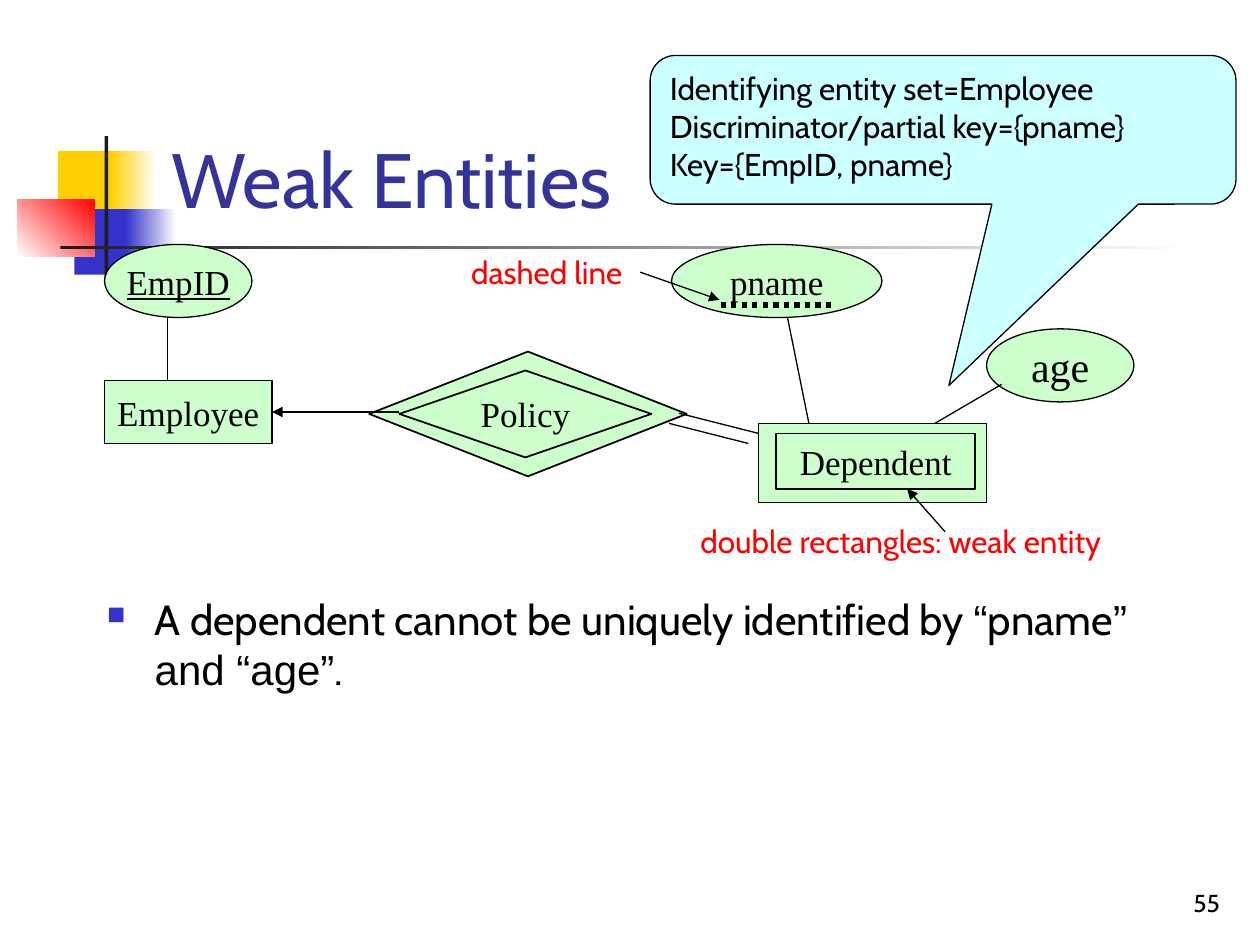
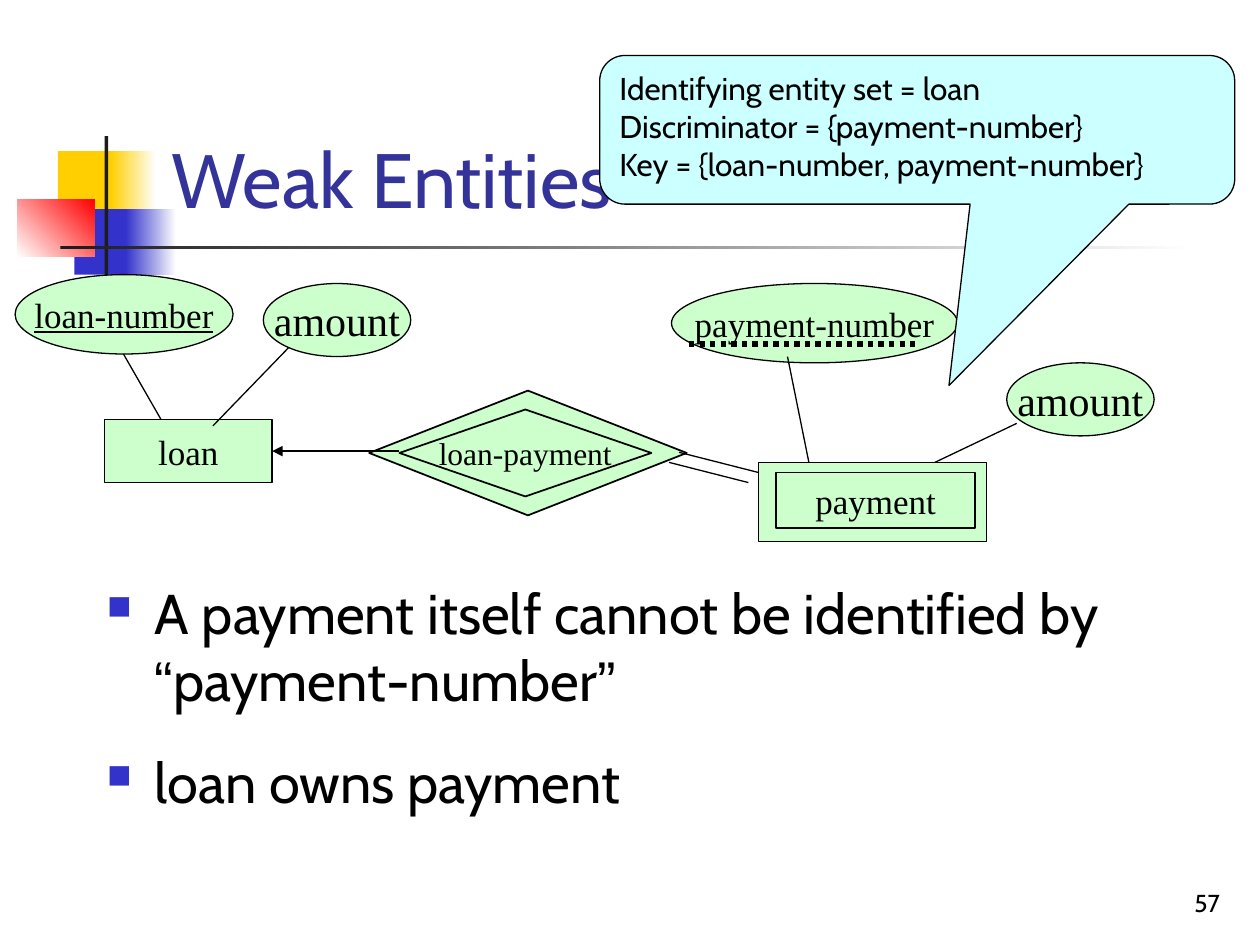
import dataclasses

import lxml.etree
import pptx
import pptx.dml.color
import pptx.enum.dml
import pptx.enum.shapes
import pptx.enum.text
import pptx.oxml.ns
import pptx.util

SHAPE = pptx.enum.shapes.MSO_SHAPE
ALIGN = pptx.enum.text.PP_ALIGN
ANCHOR = pptx.enum.text.MSO_ANCHOR
qn = pptx.oxml.ns.qn


@dataclasses.dataclass(frozen=True)
class Theme:
    black: str = "000000"
    white: str = "FFFFFF"
    dark: str = "1C1C1C"
    yellow: str = "FFCF01"
    blue: str = "3333CC"
    red: str = "FF0000"
    title: str = "333399"
    node: str = "CCFFCC"
    callout: str = "CCFFFF"
    sans: str = "Cabin"
    quote: str = "Arial"
    serif: str = "Times New Roman"
    title_size: int = 44
    large: int = 32
    medium: int = 24
    label: int = 20
    note: int = 18
    number: int = 14
    thin: float = 0.75
    firm: float = 1
    thick: float = 3


THEME = Theme()
COLUMNS, ROWS = 10, 7.5
UNIT = pptx.util.Inches(1)


@dataclasses.dataclass(frozen=True)
class Box:
    left: float
    top: float
    width: float
    height: float

    def at(self, left, top, width, height):
        return Box(self.left + left, self.top + top, width, height)

    def point(self, across, down):
        return self.left + across, self.top + down

    def emu(self):
        return [round(UNIT * side) for side in (self.left, self.top, self.width, self.height)]


SLIDE = Box(0, 0, COLUMNS, ROWS)


def rgb(color):
    return pptx.dml.color.RGBColor.from_string(color)


def add_runs(para, runs, size, color):
    for text, face in runs:
        span = para.add_run()
        span.text = text
        span.font.size = pptx.util.Pt(size)
        span.font.name = face
        span.font.color.rgb = rgb(color)


def add_text(page, box, runs, size, color, anchor=ANCHOR.TOP, align=ALIGN.LEFT, wrap=True):
    holder = page.shapes.add_textbox(*box.emu())
    frame = holder.text_frame
    frame.word_wrap = wrap
    frame.vertical_anchor = anchor
    para = frame.paragraphs[0]
    para.alignment = align
    add_runs(para, runs, size, color)
    return para


def add_block(page, box, start, end=None, angle=0):
    block = page.shapes.add_shape(SHAPE.RECTANGLE, *box.emu())
    block.shadow.inherit = False
    block.line.fill.background()
    if end is None:
        block.fill.solid()
        block.fill.fore_color.rgb = rgb(start)
        return
    block.fill.gradient()
    block.fill.gradient_angle = angle
    for stop, color in zip(block.fill.gradient_stops, (start, end)):
        stop.color.rgb = rgb(color)


def add_node(page, kind, box, label="", size=THEME.label, weight=THEME.thin, fill=THEME.node):
    node = page.shapes.add_shape(kind, *box.emu())
    node.shadow.inherit = False
    node.fill.solid()
    node.fill.fore_color.rgb = rgb(fill)
    node.line.color.rgb = rgb(THEME.black)
    node.line.width = pptx.util.Pt(weight)
    if label:
        frame = node.text_frame
        frame.word_wrap = False
        frame.vertical_anchor = ANCHOR.MIDDLE
        frame.paragraphs[0].alignment = ALIGN.CENTER
        add_runs(frame.paragraphs[0], [(label, THEME.serif)], size, THEME.black)
    return node


def add_line(page, start, end, weight=THEME.thin, arrow=False):
    ends = [round(UNIT * place) for place in (*start, *end)]
    line = page.shapes.add_connector(pptx.enum.shapes.MSO_CONNECTOR.STRAIGHT, *ends)
    line.line.color.rgb = rgb(THEME.black)
    line.line.width = pptx.util.Pt(weight)
    if arrow:
        lxml.etree.SubElement(line.line._get_or_add_ln(), qn("a:tailEnd"), type="triangle")
    lxml.etree.SubElement(line._element.spPr, qn("a:effectLst"))
    return line


def draw_frame(page, box, title, number):
    emblem = box.at(0.14, 1.08, 1.26, 1.15)
    add_block(page, emblem.at(0.32, 0.12, 0.48, 0.52), THEME.yellow)
    add_block(page, emblem.at(0.74, 0.12, 0.36, 0.52), THEME.yellow, THEME.white)
    add_block(page, emblem.at(0.45, 0.58, 0.46, 0.52), THEME.blue)
    add_block(page, emblem.at(0.86, 0.58, 0.4, 0.52), THEME.blue, THEME.white)
    add_block(page, emblem.at(0, 0.5, 0.61, 0.46), THEME.white, THEME.red, angle=45)
    add_block(page, emblem.at(0.69, 0, 0.03, 1.15), THEME.dark)
    add_block(page, emblem.at(0.34, 0.87, 9, 0.03), THEME.dark, THEME.white)
    add_text(page, box.at(7.7, 6.83, 2.08, 0.5), [(number, THEME.sans)], THEME.number,
             THEME.black, ANCHOR.BOTTOM, ALIGN.RIGHT)
    add_text(page, box.at(1.26, 0.23, 8.52, 1.6), [(title, THEME.sans)], THEME.title_size,
             THEME.title, ANCHOR.BOTTOM)


def draw_bullet(page, box, runs, size):
    para = add_text(page, box, runs, size, THEME.black)
    properties = para._p.get_or_add_pPr()
    hang = round(UNIT * 0.38)
    properties.set("marL", str(hang))
    properties.set("indent", str(-hang))
    tint = lxml.etree.SubElement(properties, qn("a:buClr"))
    lxml.etree.SubElement(tint, qn("a:srgbClr"), val=THEME.blue)
    lxml.etree.SubElement(properties, qn("a:buSzPct"), val="60000")
    lxml.etree.SubElement(properties, qn("a:buChar"), char="■")


def draw_attribute(page, box, label, start, end, size=THEME.label):
    oval = add_node(page, SHAPE.OVAL, box, label, size)
    add_line(page, start, end)
    return oval


def draw_key(page, box, label, start, end):
    oval = draw_attribute(page, box, label, start, end)
    oval.text_frame.paragraphs[0].runs[0].font.underline = True


def draw_partial_key(page, box, label, dots, area):
    draw_attribute(page, box, label, area.point(6.25, 0.58), area.point(6.42, 1.42))
    first, last = dots
    dotted = add_line(page, area.point(first, 0.48), area.point(last, 0.48), THEME.thick)
    dotted.line.dash_style = pptx.enum.dml.MSO_LINE.ROUND_DOT


def draw_relation(page, area, owner, relation, weak, relation_size=THEME.label):
    add_node(page, SHAPE.RECTANGLE, area.at(6.02, 1.42, 1.81, 0.63))
    add_node(page, SHAPE.FLOWCHART_DECISION, area.at(2.93, 0.85, 2.52, 0.99), weight=THEME.firm)
    owner_box = add_node(page, SHAPE.RECTANGLE, area.at(0.83, 1.08, 1.33, 0.5), owner)
    arrow = add_line(page, area.point(3.17, 1.33), area.point(2.16, 1.33), arrow=True)
    arrow.end_connect(owner_box, 3)
    add_node(page, SHAPE.FLOWCHART_DECISION, area.at(3.17, 1, 2, 0.69), relation,
             relation_size, THEME.firm)
    for across, down in ((5.39, 1.34), (5.31, 1.42)):
        add_line(page, area.point(across, down), area.point(across + 0.63, down + 0.16))
    add_node(page, SHAPE.RECTANGLE, area.at(6.16, 1.5, 1.58, 0.44), weak, weight=THEME.firm)


def draw_callout(page, box, lines, pointer):
    bubble = add_node(page, SHAPE.ROUNDED_RECTANGULAR_CALLOUT, box, fill=THEME.callout)
    for index, value in enumerate((pointer, 1.72, 0.17)):
        bubble.adjustments[index] = value
    frame = bubble.text_frame
    frame.word_wrap = True
    frame.vertical_anchor = ANCHOR.TOP
    for index, line in enumerate(lines):
        para = frame.add_paragraph() if index else frame.paragraphs[0]
        para.alignment = ALIGN.LEFT
        add_runs(para, [(line, THEME.sans)], THEME.note, THEME.black)


def draw_note(page, box, text, start, end):
    add_text(page, box, [(text, THEME.sans)], THEME.note, THEME.red, wrap=False)
    add_line(page, start, end, arrow=True)


def employee_slide(page, box):
    draw_frame(page, box, "Weak Entities", "55")
    area = box.at(0, 1.94, COLUMNS, 2.6)
    draw_bullet(page, box.at(0.75, 4.66, 8.66, 0.98), [
        ("A dependent cannot be uniquely identified by ", THEME.sans), ("“", THEME.quote),
        ("pname", THEME.sans), ("” and “age”", THEME.quote), (".", THEME.sans)], THEME.medium)
    draw_key(page, area.at(0.83, 0, 1.17, 0.58), "EmpID",
             area.point(1.33, 0.58), area.point(1.33, 1.08))
    draw_partial_key(page, area.at(5.33, 0, 1.67, 0.58), "pname", (5.72, 6.62), area)
    draw_attribute(page, area.at(7.83, 0.67, 1.17, 0.58), "age",
                   area.point(7.95, 1.11), area.point(7.42, 1.42), THEME.medium)
    draw_relation(page, area, "Employee", "Policy", "Dependent")
    draw_callout(page, box.at(5.16, 0.44, 4.65, 1.18), [
        "Identifying entity set=Employee", "Discriminator/partial key={pname}",
        "Key={EmpID, pname}"], 0.01)
    draw_note(page, area.at(5.46, 2.15, 3.79, 0.4), "double rectangles: weak entity",
              area.point(7.5, 2.28), area.point(7.2, 1.94))
    draw_note(page, area.at(3.64, 0.02, 1.55, 0.4), "dashed line",
              area.point(5.08, 0.22), area.point(5.71, 0.44))


def loan_slide(page, box):
    draw_frame(page, box, "Weak Entities", "57")
    area = box.at(0, 2.25, COLUMNS, 2.1)
    bullets = [
        [("A payment itself cannot be identified by ", THEME.sans), ("“", THEME.quote),
         ("payment-number", THEME.sans), ("”", THEME.quote)],
        [("loan owns payment", THEME.sans)]]
    for row, runs in enumerate(bullets):
        draw_bullet(page, box.at(0.75, 4.54 + 1.34 * row, 8.5, 1.37), runs, THEME.large)
    draw_key(page, area.at(0.12, -0.07, 1.73, 0.63), "loan-number",
             area.point(0.98, 0.56), area.point(1.33, 1.17))
    draw_partial_key(page, area.at(5.33, 0, 2.27, 0.63), "payment-number", (5.47, 7.28), area)
    draw_attribute(page, area.at(7.99, 0.63, 1.17, 0.58), "amount",
                   area.point(8.07, 1.11), area.point(7.42, 1.42), THEME.medium)
    draw_relation(page, area, "loan", "loan-payment", "payment", THEME.note)
    draw_attribute(page, area.at(2.09, 0, 1.17, 0.58), "amount",
                   area.point(2.29, 0.51), area.point(1.69, 1.13), THEME.medium)
    draw_callout(page, box.at(4.76, 0.44, 5.04, 1.18), [
        "Identifying entity set = loan", "Discriminator = {payment-number}",
        "Key = {loan-number, payment-number}"], 0.05)


def main():
    deck = pptx.Presentation()
    deck.slide_width = round(UNIT * COLUMNS)
    deck.slide_height = round(UNIT * ROWS)
    for draw_slide in (employee_slide, loan_slide):
        draw_slide(deck.slides.add_slide(deck.slide_layouts[6]), SLIDE)
    deck.save("out.pptx")


if __name__ == "__main__":
    main()
